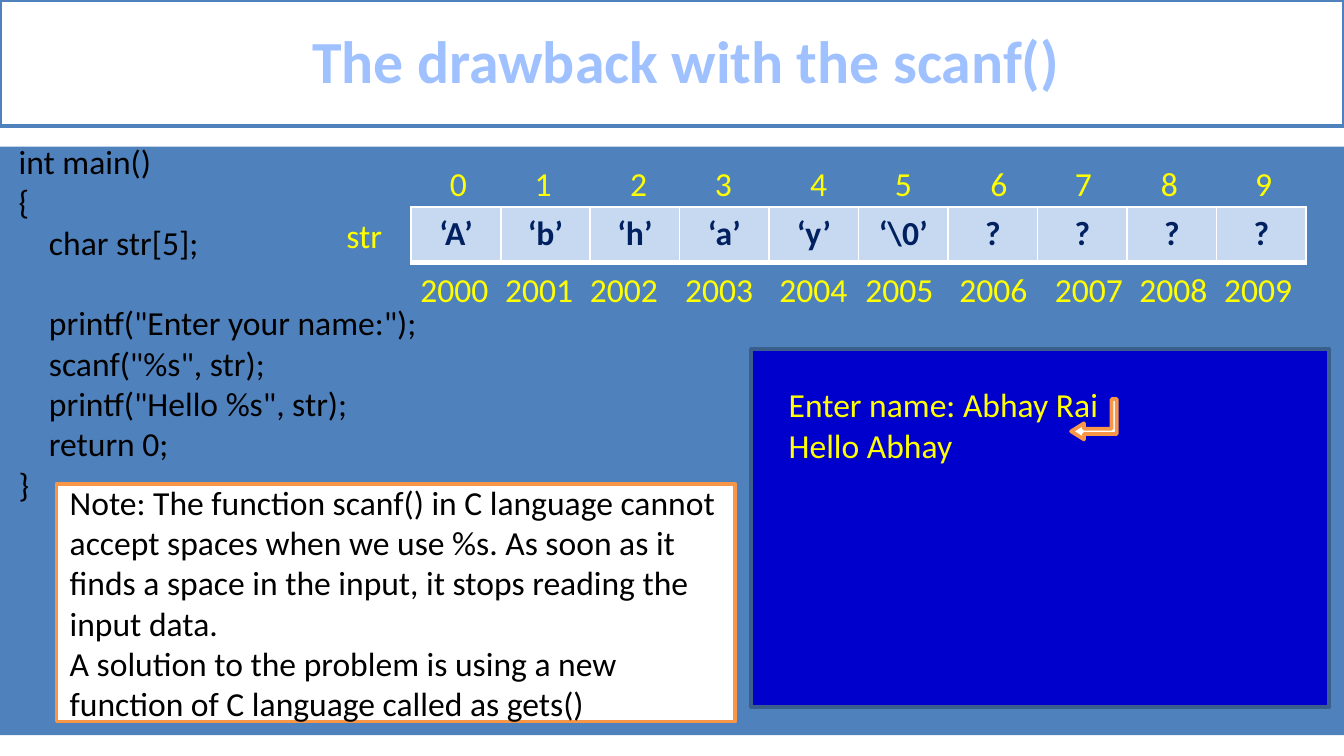
from lxml import etree
from pptx import Presentation
from pptx.dml.color import RGBColor
from pptx.enum.shapes import MSO_SHAPE
from pptx.enum.text import MSO_ANCHOR, MSO_AUTO_SIZE, PP_ALIGN
from pptx.oxml.ns import qn
from pptx.util import Inches, Pt

RECT = MSO_SHAPE.RECTANGLE
ARROW = MSO_SHAPE.BENT_UP_ARROW
LEFT, CENTER = PP_ALIGN.LEFT, PP_ALIGN.CENTER
MIDDLE = MSO_ANCHOR.MIDDLE
GROW = MSO_AUTO_SIZE.SHAPE_TO_FIT_TEXT

WHITE = RGBColor(0xFF, 0xFF, 0xFF)
BLACK = RGBColor(0x00, 0x00, 0x00)
BLUE = RGBColor(0x4F, 0x81, 0xBD)
SKY = RGBColor(0xA0, 0xC1, 0xFF)
DEEP = RGBColor(0x00, 0x00, 0xCC)
SLATE = RGBColor(0x3A, 0x5F, 0x8C)
NAVY = RGBColor(0x00, 0x20, 0x60)
PALE = RGBColor(0xC6, 0xD9, 0xF1)
ORANGE = RGBColor(0xF7, 0x96, 0x46)
YELLOW = RGBColor(0xFF, 0xFF, 0x00)

CODE = """int main()
{
    char str[5];
    
    printf("Enter your name:");
    scanf("%s", str);
    printf("Hello %s", str);
    return 0;
}"""
NOTE = (
    "Note: The function scanf() in C language cannot accept spaces when we "
    "use %s. As soon as it finds a space in the input, it stops reading the "
    "input data.\n"
    "A solution to the problem is using a new function of C language called "
    "as gets()"
)
CHARS = ["‘A’", "‘b’", "‘h’", "‘a’", "‘y’", "‘\\0’", "?", "?", "?", "?"]
INDEX_X = [0.77, 1.4, 2.11, 2.74, 3.45, 4.08, 4.79, 5.42, 6.06, 6.76]
ADDR_X = [0.55, 1.18, 1.81, 2.52, 3.22, 3.86, 4.56, 5.27, 5.9, 6.53]
BORDERS = {"a:lnL": 1, "a:lnR": 1, "a:lnT": 1, "a:lnB": 3}


def write(frame, text, size=18, color=BLACK, bold=False, align=LEFT,
          pitch=None):
    for i, line in enumerate(text.split("\n")):
        para = frame.add_paragraph() if i else frame.paragraphs[0]
        para.alignment = align
        para.line_spacing = pitch
        run = para.add_run()
        run.text = line
        run.font.name = "Calibri"
        run.font.size = Pt(size)
        run.font.bold = bold
        run.font.color.rgb = color


def draw(slide, kind, box, fill, line=None):
    shape = slide.shapes.add_shape(kind, *map(Inches, box))
    shape.shadow.inherit = False
    shape.fill.solid()
    shape.fill.fore_color.rgb = fill
    if line is None:
        shape.line.fill.background()
    else:
        shape.line.color.rgb = line
        shape.line.width = Pt(2)
    shape.text_frame.word_wrap = True
    shape.text_frame.vertical_anchor = MIDDLE
    return shape


def label(slide, box, text, **style):
    frame = slide.shapes.add_textbox(*map(Inches, box)).text_frame
    frame.word_wrap = False
    frame.auto_size = GROW
    write(frame, text, **style)


def edge(cell):
    props = cell._tc.get_or_add_tcPr()
    for i, (tag, width) in enumerate(BORDERS.items()):
        line = etree.Element(qn(tag), w=str(Pt(width)))
        fill = etree.SubElement(line, qn("a:solidFill"))
        etree.SubElement(fill, qn("a:srgbClr"), val=str(WHITE))
        props.insert(i, line)


def title(slide, box):
    frame = draw(slide, RECT, box, WHITE, BLUE).text_frame
    frame.margin_left = Inches(0.31)
    write(frame, "The drawback with the scanf()", size=32, color=SKY,
          bold=True, align=CENTER, pitch=0.96)


def memory(slide, box):
    x, y, w, h = box
    gap = 0.58
    grid = slide.shapes.add_table(
        1, len(CHARS), Inches(x + gap), Inches(y + 0.38),
        Inches(w - gap), Inches(0.41)).table
    for i, char in enumerate(CHARS):
        grid.columns[i].width = Inches((w - gap) / len(CHARS))
        cell = grid.cell(0, i)
        cell.fill.solid()
        cell.fill.fore_color.rgb = PALE
        edge(cell)
        write(cell.text_frame, char, color=NAVY, bold=True, align=CENTER)
        label(slide, (x + INDEX_X[i], y, 0.33, 0.4), str(i), color=YELLOW)
        label(slide, (x + ADDR_X[i], y + h - 0.4, 0.71, 0.4),
              str(2000 + i), color=YELLOW)
    label(slide, (x, y + 0.39, 0.47, 0.4), "str", color=YELLOW)


def screen(slide, box):
    x, y, w, h = box
    draw(slide, RECT, box, DEEP, SLATE)
    label(slide, (x + 0.18, y + 0.21, 2.53, 0.71),
          "Enter name: Abhay Rai\nHello Abhay", color=YELLOW)
    enter = draw(slide, ARROW, (x + 2.4, y + 0.35, 0.3, 0.34), WHITE, ORANGE)
    for i, value in enumerate((0.13, 0.2, 0.32)):
        enter.adjustments[i] = value
    enter.rotation = 90
    enter._element.spPr.find(qn("a:xfrm")).set("flipV", "1")


def note(slide, box):
    write(draw(slide, RECT, box, WHITE, ORANGE).text_frame, NOTE)


def main():
    deck = Presentation()
    deck.slide_width = Inches(10)
    deck.slide_height = Inches(10) * 9 // 16
    slide = deck.slides.add_slide(deck.slide_layouts[6])
    draw(slide, RECT, (0, 1.09, 10, 4.38), BLUE)
    title(slide, (0, 0, 10, 0.94))
    label(slide, (0.04, 1, 3.21, 2.83), CODE)
    screen(slide, (5.59, 2.6, 4.3, 2.66))
    note(slide, (0.42, 3.6, 5.05, 1.77))
    memory(slide, (2.48, 1.16, 7.24, 1.19))
    deck.save("out.pptx")


if __name__ == "__main__":
    main()
